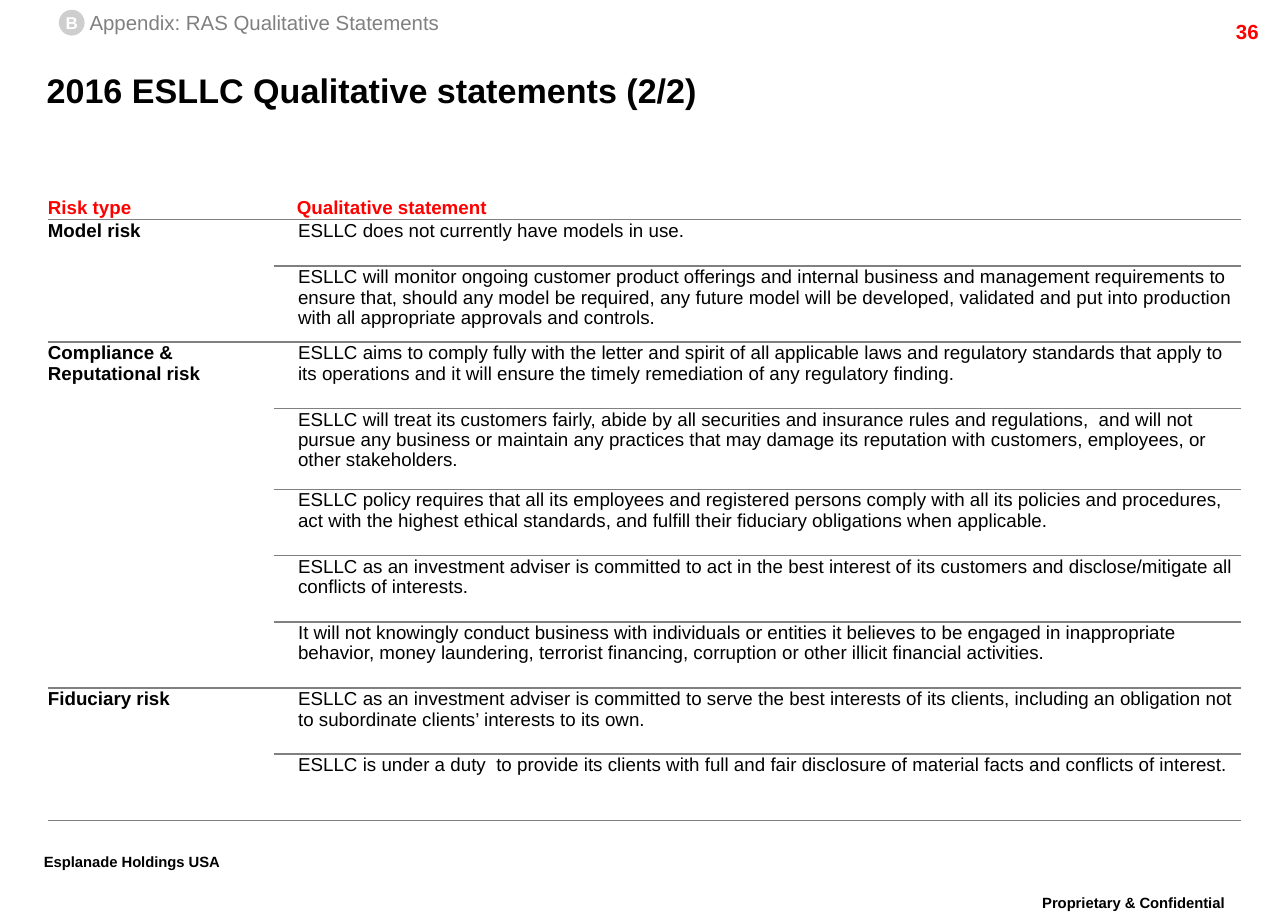
from lxml import etree
from pptx import Presentation
from pptx.dml.color import RGBColor
from pptx.enum.shapes import MSO_SHAPE
from pptx.enum.text import MSO_ANCHOR, PP_ALIGN
from pptx.oxml.ns import qn
from pptx.util import Inches, Pt

OVAL = MSO_SHAPE.OVAL
TOP, MIDDLE = MSO_ANCHOR.TOP, MSO_ANCHOR.MIDDLE
LEFT, CENTER, RIGHT = PP_ALIGN.LEFT, PP_ALIGN.CENTER, PP_ALIGN.RIGHT
BLACK, WHITE, RED, GRAY, LIGHT_GRAY = "000000", "FFFFFF", "FF0000", "808080", "CECECE"
PLAIN_TABLE_STYLE = "{2D5ABB26-0587-4C30-8999-92F81FD0307C}"


def color(value):
    return RGBColor.from_string(value)


def write(frame, text, size, text_color, bold=False, align=LEFT, anchor=TOP, spacing=1.0):
    frame.word_wrap = True
    frame.vertical_anchor = anchor
    paragraph = frame.paragraphs[0]
    paragraph.alignment = align
    paragraph.line_spacing = spacing
    run = paragraph.add_run()
    run.text = text
    for name, value in {"name": "Arial", "size": Pt(size), "bold": bold}.items():
        setattr(run.font, name, value)
    run.font.color.rgb = color(text_color)
    return run


presentation = Presentation()
presentation.slide_width = Inches(10.5)
presentation.slide_height = Inches(7.5)
slide = presentation.slides.add_slide(presentation.slide_layouts[5])
no_margins = dict.fromkeys(("margin_left", "margin_top", "margin_right", "margin_bottom"), 0)

footers = [
    ("Proprietary & Confidential", 8.15, 7.25, 2.18, CENTER),
    ("Esplanade Holdings USA", 0.26, 6.91, 2.1, LEFT),
]
for text, left, top, width, align in footers:
    footer = slide.shapes.add_textbox(Inches(left), Inches(top), Inches(width), Inches(0.35))
    run = write(footer.text_frame, text, 15, BLACK, True, align, spacing=0.86)
    run._r.get_or_add_rPr().set("baseline", "30000")

page_number = slide.shapes.add_textbox(Inches(9.36), Inches(0.11), Inches(1), Inches(0.24))
write(page_number.text_frame, "36", 12, RED, True, RIGHT)

title = slide.shapes.title
title.left, title.top = Inches(0.38), Inches(0.49)
title.width, title.height = Inches(9.48), Inches(0.48)
write(title.text_frame, "2016 ESLLC Qualitative statements (2/2)", 20, BLACK, True, anchor=MIDDLE)

section = slide.shapes.add_group_shape()
badge = section.shapes.add_shape(OVAL, Inches(0.48), Inches(0.08), Inches(0.21), Inches(0.21))
badge.shadow.inherit = False
badge.fill.solid()
badge.fill.fore_color.rgb = color(LIGHT_GRAY)
badge.line.fill.background()
write(badge.text_frame, "B", 10, WHITE, True, CENTER, MIDDLE)
badge.text_frame.word_wrap = False
section_label = section.shapes.add_textbox(Inches(0.73), Inches(0.08), Inches(2.88), Inches(0.2))
write(section_label.text_frame, "Appendix: RAS Qualitative Statements", 12, GRAY, anchor=MIDDLE)
for shape in (title, badge, section_label):
    for name, value in no_margins.items():
        setattr(shape.text_frame, name, value)

risks = [
    ("Model risk", [
        "ESLLC does not currently have models in use.",
        "ESLLC will monitor ongoing customer product offerings and internal business and management "
        "requirements to ensure that, should any model be required, any future model will be developed, "
        "validated and put into production with all appropriate approvals and controls.",
    ]),
    ("Compliance & Reputational risk", [
        "ESLLC aims to comply fully with the letter and spirit of all applicable laws and regulatory "
        "standards that apply to its operations and it will ensure the timely remediation of any "
        "regulatory finding.",
        "ESLLC will treat its customers fairly, abide by all securities and insurance rules and "
        "regulations,  and will not pursue any business or maintain any practices that may damage its "
        "reputation with customers, employees, or other stakeholders.",
        "ESLLC policy requires that all its employees and registered persons comply with all its policies "
        "and procedures, act with the highest ethical standards, and fulfill their fiduciary obligations "
        "when applicable.",
        "ESLLC as an investment adviser is committed to act in the best interest of its customers and "
        "disclose/mitigate all conflicts of interests.",
        "It will not knowingly conduct business with individuals or entities it believes to be engaged in "
        "inappropriate behavior, money laundering, terrorist financing, corruption or other illicit "
        "financial activities.",
    ]),
    ("Fiduciary risk", [
        "ESLLC as an investment adviser is committed to serve the best interests of its clients, including "
        "an obligation not to subordinate clients’ interests to its own.",
        "ESLLC is under a duty  to provide its clients with full and fair disclosure of material facts and "
        "conflicts of interest.",
    ]),
]
row_heights = [0.19, 0.38, 0.62, 0.54, 0.66] + [0.54] * 5
column_widths = [1.84, 7.89]
table_frame = slide.shapes.add_table(len(row_heights), len(column_widths), Inches(0.39), Inches(1.6),
                                     Inches(sum(column_widths)), Inches(sum(row_heights)))
table = table_frame.table
table.first_row = table.horz_banding = False
table._tbl.tblPr.find(qn("a:tableStyleId")).text = PLAIN_TABLE_STYLE
for row, height in zip(table.rows, row_heights):
    row.height = Inches(height)
for column, width in zip(table.columns, column_widths):
    column.width = Inches(width)

entries = [(0, 0, "Risk type", RED, True, 0, MIDDLE),
           (0, 1, "Qualitative statement", RED, True, 0.19, MIDDLE)]
row_index = 1
for risk, statements in risks:
    table.cell(row_index, 0).merge(table.cell(row_index + len(statements) - 1, 0))
    entries.append((row_index, 0, risk, BLACK, True, 0, TOP))
    for statement in statements:
        entries.append((row_index, 1, statement, BLACK, False, 0.2, TOP))
        row_index += 1

for row_index, column_index, text, text_color, bold, indent, anchor in entries:
    cell = table.cell(row_index, column_index)
    write(cell.text_frame, text, 11, text_color, bold, spacing=0.98)
    cell_format = {"vertical_anchor": anchor, "margin_left": Inches(indent), "margin_top": Inches(0.01),
                   "margin_right": Inches(0.01), "margin_bottom": 0}
    for name, value in cell_format.items():
        setattr(cell, name, value)
    properties = cell._tc.get_or_add_tcPr()
    for side in ("lnT", "lnB") if row_index else ("lnB",):
        border = etree.SubElement(properties, qn("a:" + side), w=str(Pt(1)))
        border_fill = etree.SubElement(border, qn("a:solidFill"))
        etree.SubElement(border_fill, qn("a:srgbClr"), val=GRAY)
    if row_index:
        cell.fill.solid()
        cell.fill.fore_color.rgb = color(WHITE)
    else:
        cell.fill.background()

presentation.save("out.pptx")
